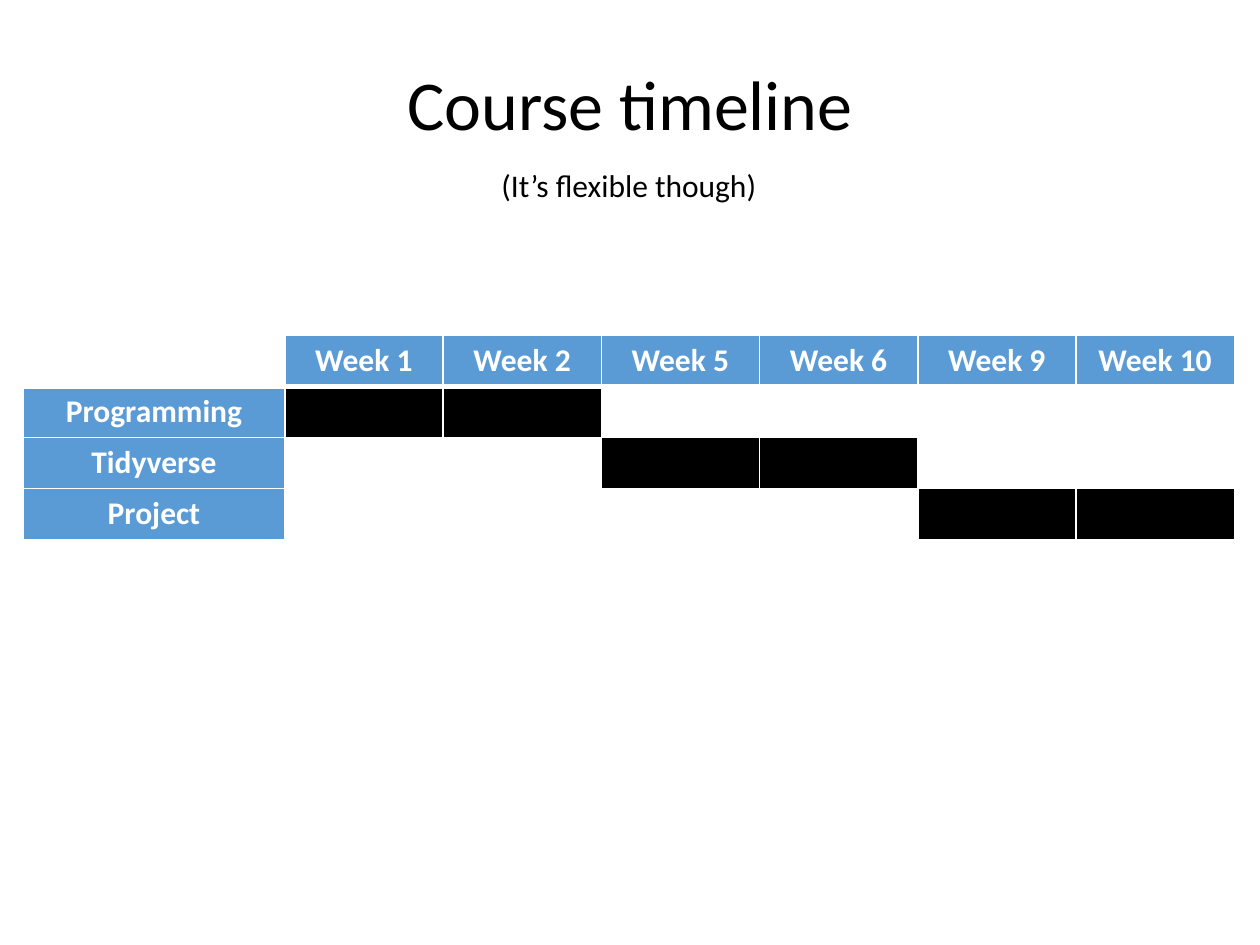
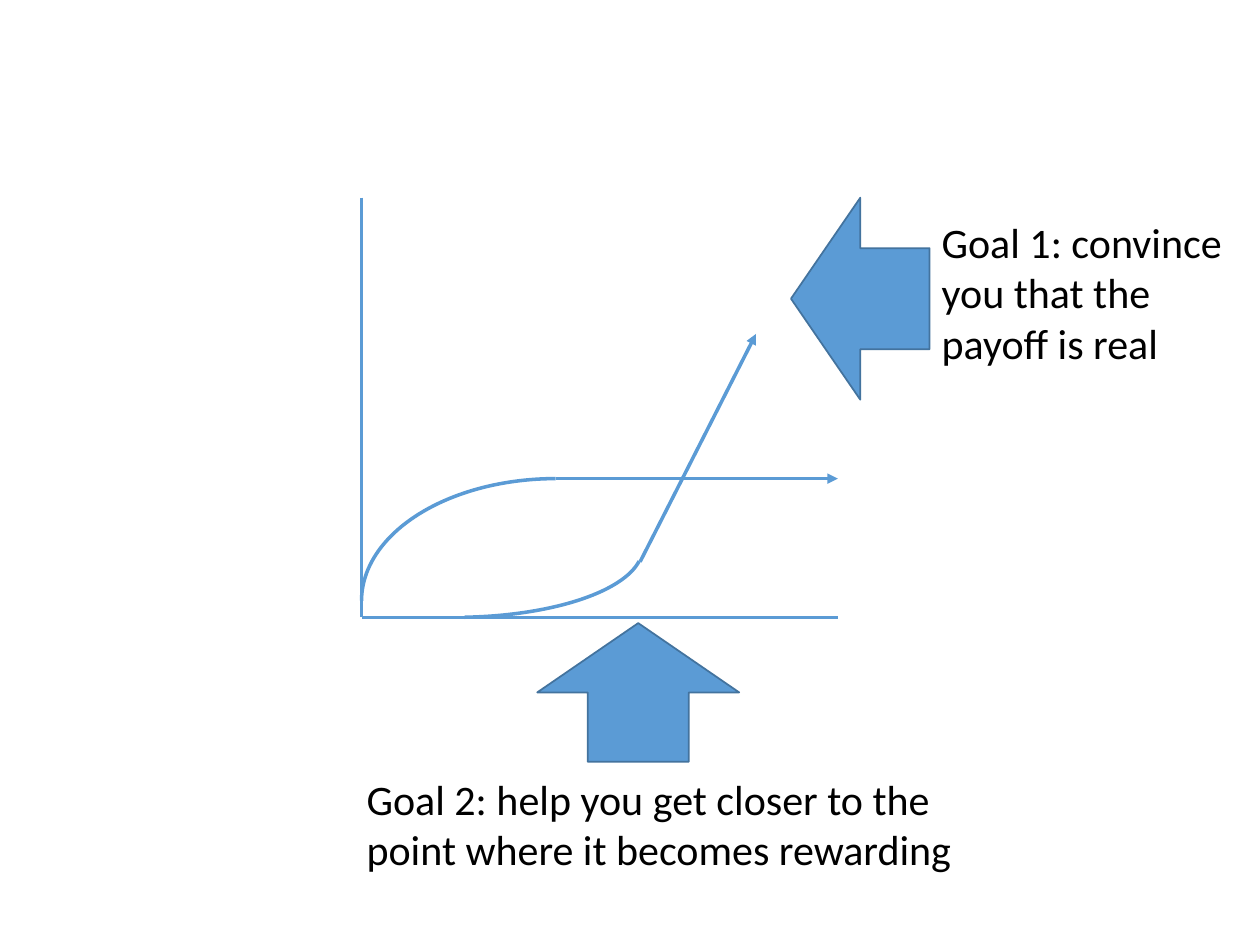
from pptx import Presentation
from pptx.dml.color import RGBColor
from pptx.enum.shapes import MSO_CONNECTOR, MSO_SHAPE
from pptx.enum.text import MSO_ANCHOR, PP_ALIGN
from pptx.oxml.ns import qn
from pptx.util import Pt
from lxml import etree

LINE = MSO_CONNECTOR.STRAIGHT
ARC, LEFT_ARROW = MSO_SHAPE.ARC, MSO_SHAPE.LEFT_ARROW
CENTER, LEFT = PP_ALIGN.CENTER, PP_ALIGN.LEFT
MIDDLE = MSO_ANCHOR.MIDDLE

FONT = "Calibri"
BLUE, DARK_BLUE, BLACK, WHITE = "5B9BD5", "43739E", "000000", "FFFFFF"

TITLE = "Course timeline"
TITLE_BOX = (49.5, 28.75, 621, 66)
SUBTITLE = ("(It’s flexible though)", (279.5, 91.4, 161, 29), 18)

WEEKS = ["Week 1", "Week 2", "Week 5", "Week 6", "Week 9", "Week 10"]
TOPICS = {
    "Programming": ["Week 1", "Week 2"],
    "Tidyverse": ["Week 5", "Week 6"],
    "Project": ["Week 9", "Week 10"],
}
TABLE_LEFT, TABLE_TOP = 13.25, 191.5
TOPIC_W, WEEK_W, ROW_H = 149.5, 90.45, 29.2

X0, X1 = 206.6, 478.8
Y_TOP, Y_PLATEAU, Y_BASE = 113, 273.5, 352.8
PLATEAU_START, BEND, PAYOFF = (317.5, Y_PLATEAU), (365.8, 321), (432, 190.8)
LINES = [
    ((X0, Y_TOP), (X0, Y_BASE), False),
    ((X0, Y_BASE), (X1, Y_BASE), False),
    (PLATEAU_START, (X1, Y_PLATEAU), True),
    (BEND, PAYOFF, True),
]
DEGREE = 0.6
ARCS = [
    ((X0, Y_PLATEAU, 221.8, 139.6), (270, 0)),
    ((153.4, Y_PLATEAU, 213.8, 79.3), (97.56, 175.89)),
]
ARROWS = [((452, 113, 79.2, 115.4), 0), ((325.1, 338, 79.2, 115.4), 90)]
GOALS = [
    ("Goal 1: convince you that the payoff is real", (531, 120.2, 189, 94.5), 24),
    ("Goal 2: help you get closer to the point where it becomes rewarding",
     (202.4, 438.5, 358.5, 65.5), 24),
]


def rgb(color):
    return RGBColor.from_string(color)


def box(values):
    return [Pt(v) for v in values]


def write(tf, text, size, color=BLACK, bold=False, align=LEFT):
    p = tf.paragraphs[0]
    p.alignment = align
    r = p.add_run()
    r.text = text
    for name, value in {"name": FONT, "size": Pt(size), "bold": bold}.items():
        setattr(r.font, name, value)
    r.font.color.rgb = rgb(color)
    return p


def add_text(s, text, at, size):
    tf = s.shapes.add_textbox(*box(at)).text_frame
    tf.word_wrap = True
    write(tf, text, size)


def set_borders(cell, widths):
    tc_pr = cell._tc.get_or_add_tcPr()
    for side, width in widths.items():
        ln = etree.SubElement(tc_pr, qn(f"a:ln{side}"), w=str(Pt(width)))
        fill = etree.SubElement(ln, qn("a:solidFill"))
        etree.SubElement(fill, qn("a:srgbClr"), val=WHITE)


def set_line(sp, color, width):
    sp.line.color.rgb = rgb(color)
    sp.line.width = Pt(width)


def add_line(s, start, end, arrow):
    c = s.shapes.add_connector(LINE, *box(start + end))
    set_line(c, BLUE, 2)
    if arrow:
        etree.SubElement(c.line._get_or_add_ln(), qn("a:tailEnd"), type="triangle")
    etree.SubElement(c.element.spPr, qn("a:effectLst"))


def add_arc(s, at, angles):
    sp = s.shapes.add_shape(ARC, *box(at))
    sp.shadow.inherit = False
    sp.fill.background()
    set_line(sp, BLUE, 2)
    for i, angle in enumerate(angles):
        sp.adjustments[i] = angle * DEGREE
    sp.element.spPr.find(qn("a:xfrm")).set("flipH", "1")


def add_arrow(s, at, rotation):
    sp = s.shapes.add_shape(LEFT_ARROW, *box(at))
    sp.shadow.inherit = False
    sp.fill.solid()
    sp.fill.fore_color.rgb = rgb(BLUE)
    set_line(sp, DARK_BLUE, 1)
    sp.rotation = rotation


def add_timeline(s):
    rows, cols = len(TOPICS) + 1, len(WEEKS) + 1
    size = (TOPIC_W + WEEK_W * len(WEEKS), ROW_H * rows)
    table = s.shapes.add_table(rows, cols, *box((TABLE_LEFT, TABLE_TOP) + size)).table
    for i, column in enumerate(table.columns):
        column.width = Pt(WEEK_W if i else TOPIC_W)
    for row in table.rows:
        row.height = Pt(ROW_H)
    grid = [[""] + WEEKS] + [[topic] + [""] * len(WEEKS) for topic in TOPICS]
    for i, texts in enumerate(grid):
        for j, text in enumerate(texts):
            cell = table.cell(i, j)
            set_borders(cell, {"L": 1, "R": 1, "T": 3 if i == 1 else 1,
                               "B": 3 if i == 0 else 1})
            busy = i and j and WEEKS[j - 1] in TOPICS[texts[0]]
            cell.fill.solid()
            cell.fill.fore_color.rgb = rgb(BLUE if text else BLACK if busy else WHITE)
            if text:
                write(cell.text_frame, text, 18, WHITE, True, CENTER)


def timeline_slide(prs):
    s = prs.slides.add_slide(prs.slide_layouts[5])
    title = s.shapes.title
    title.left, title.top, title.width, title.height = box(TITLE_BOX)
    title.text_frame.vertical_anchor = MIDDLE
    write(title.text_frame, TITLE, 40, align=CENTER).line_spacing = 0.9
    add_timeline(s)
    add_text(s, *SUBTITLE)


def goals_slide(prs):
    s = prs.slides.add_slide(prs.slide_layouts[6])
    for add, items in ((add_line, LINES), (add_arc, ARCS),
                       (add_text, GOALS), (add_arrow, ARROWS)):
        for item in items:
            add(s, *item)


def main():
    prs = Presentation()
    prs.slide_width, prs.slide_height = Pt(720), Pt(540)
    timeline_slide(prs)
    goals_slide(prs)
    prs.save("out.pptx")


if __name__ == "__main__":
    main()
